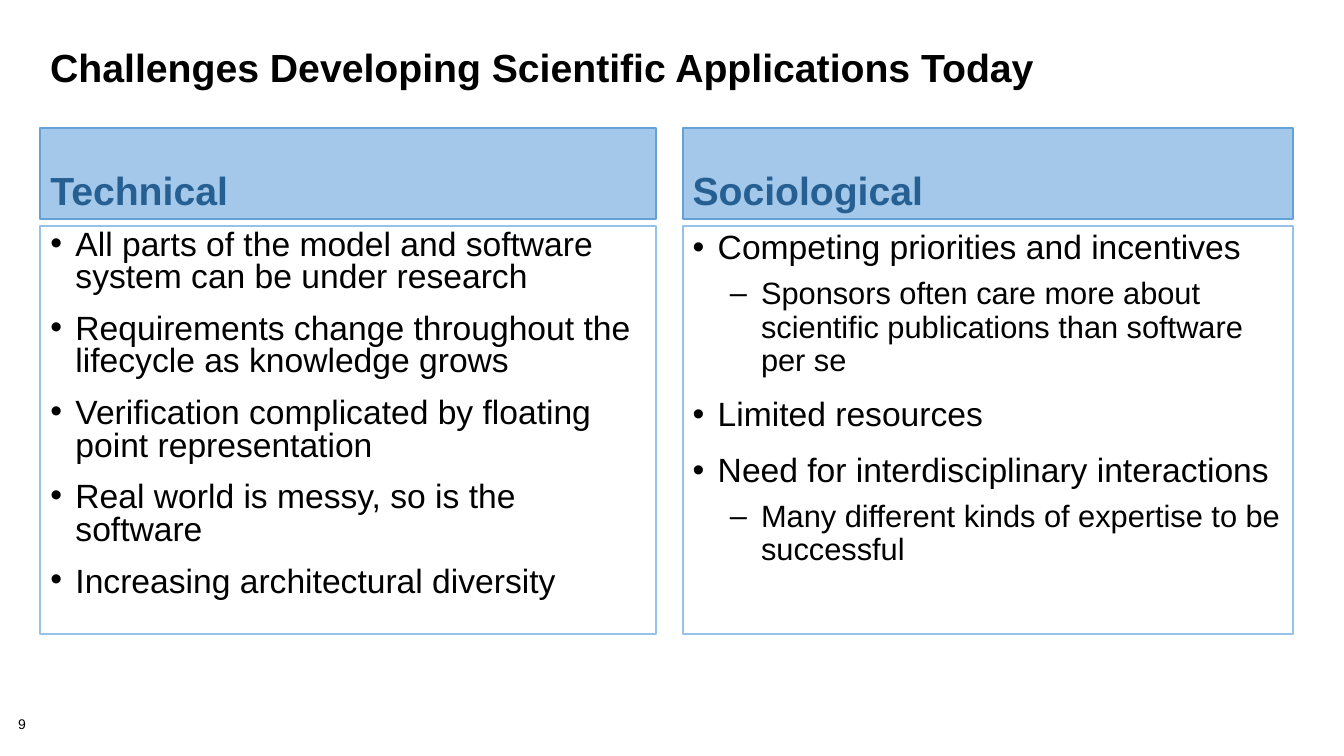
from pptx import Presentation
from pptx.dml.color import RGBColor as RGB
from pptx.enum.shapes import MSO_SHAPE as SHAPE
from pptx.enum.text import MSO_ANCHOR as ANCHOR, PP_ALIGN as ALIGN
from pptx.util import Inches, Pt
from lxml.etree import SubElement
from pptx.oxml.ns import qn

COLORS = {
    "text": "000000",
    "heading": "266093",
    "heading_fill": "A3C8EA",
    "heading_line": "64A1D7",
    "body_line": "98C1E8",
}
LEVELS = [
    {"size": 24, "bullet": "•", "left": 0.25, "indent": -0.25, "before": 14},
    {"size": 22, "bullet": "–", "left": 0.68, "indent": -0.31, "before": 8},
]
COLUMNS = [
    (0.4, 6.11, "Technical", 0.8, [
        (0, "All parts of the model and software system can be under research"),
        (0, "Requirements change throughout the lifecycle as knowledge grows"),
        (0, "Verification complicated by floating point representation"),
        (0, "Real world is messy, so is the software"),
        (0, "Increasing architectural diversity"),
    ]),
    (6.77, 6.05, "Sociological", 0.9, [
        (0, "Competing priorities and incentives"),
        (1, "Sponsors often care more about scientific publications than software per se"),
        (0, "Limited resources"),
        (0, "Need for interdisciplinary interactions"),
        (1, "Many different kinds of expertise to be successful"),
    ]),
]


class SlideBuilder:
    font = "Arial"

    def __init__(self, slide):
        self.slide = slide

    def color(self, name):
        return RGB.from_string(COLORS[name])

    def style(self, p, size, spacing, color="text", bold=False):
        p.alignment = ALIGN.LEFT
        p.line_spacing = spacing
        for r in p.runs:
            r.font.name = self.font
            r.font.size = Pt(size)
            r.font.bold = bold
            r.font.color.rgb = self.color(color)

    def text(self, box, text, size, spacing, bold=False, margin=None):
        sp = self.slide.shapes.add_textbox(*map(Inches, box))
        tf = sp.text_frame
        tf.word_wrap = True
        if margin is not None:
            tf.margin_left = tf.margin_right = Inches(margin)
            tf.margin_top = tf.margin_bottom = Inches(margin)
        tf.text = text
        self.style(tf.paragraphs[0], size, spacing, bold=bold)

    def panel(self, box, line, fill=None, anchor=ANCHOR.TOP):
        sp = self.slide.shapes.add_shape(SHAPE.RECTANGLE, *map(Inches, box))
        sp.shadow.inherit = False
        if fill:
            sp.fill.solid()
            sp.fill.fore_color.rgb = self.color(fill)
        else:
            sp.fill.background()
        sp.line.color.rgb = self.color(line)
        sp.line.width = Pt(1.5)
        tf = sp.text_frame
        tf.word_wrap = True
        tf.vertical_anchor = anchor
        return tf

    def heading(self, box, text):
        tf = self.panel(box, "heading_line", "heading_fill", ANCHOR.BOTTOM)
        tf.text = text
        self.style(tf.paragraphs[0], 28, 0.9, "heading", bold=True)

    def bullets(self, box, items, spacing):
        tf = self.panel(box, "body_line")
        tf.text = "\n".join(text for _, text in items)
        for i, (p, (level, _)) in enumerate(zip(tf.paragraphs, items)):
            look = LEVELS[level]
            p.level = level
            self.style(p, look["size"], spacing)
            if i:
                p.space_before = Pt(look["before"])
            pPr = p._p.get_or_add_pPr()
            pPr.set("marL", str(Inches(look["left"])))
            pPr.set("indent", str(Inches(look["indent"])))
            clr = SubElement(pPr, qn("a:buClr"))
            SubElement(clr, qn("a:srgbClr"), val=COLORS["text"])
            SubElement(pPr, qn("a:buFont"), typeface=self.font)
            SubElement(pPr, qn("a:buChar"), char=look["bullet"])


def main():
    prs = Presentation()
    prs.slide_width = Inches(13.33)
    prs.slide_height = Inches(7.5)
    s = SlideBuilder(prs.slides.add_slide(prs.slide_layouts[6]))
    s.text((0.18, 7.12, 0.56, 0.16), "9", 10, 0.9, margin=0)
    s.text((0.4, 0.45, 12.44, 0.56),
           "Challenges Developing Scientific Applications Today", 28, 0.85, bold=True)
    for left, width, title, spacing, items in COLUMNS:
        s.heading((left, 1.27, width, 0.9), title)
        s.bullets((left, 2.24, width, 4.05), items, spacing)
    prs.save("out.pptx")


if __name__ == "__main__":
    main()
